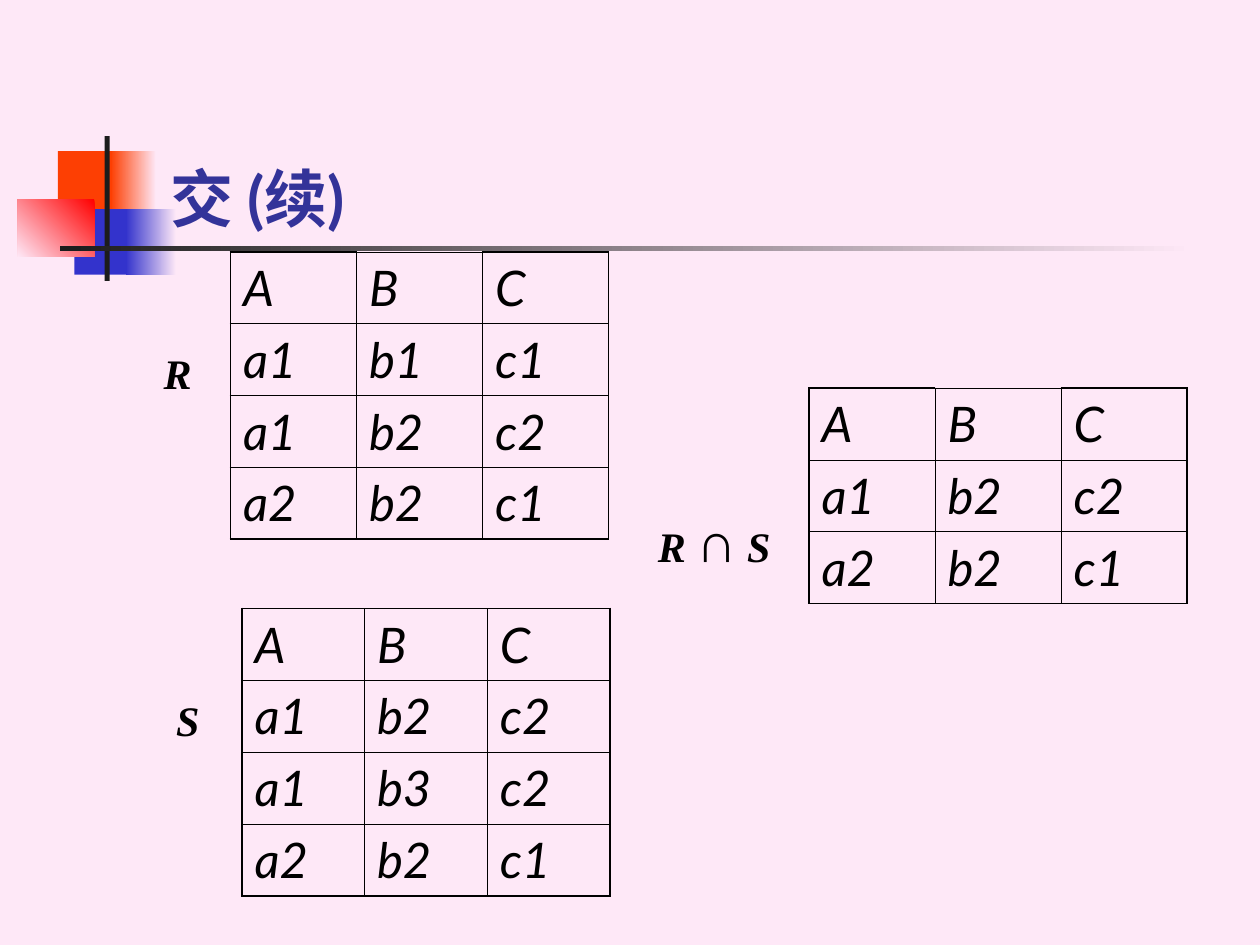
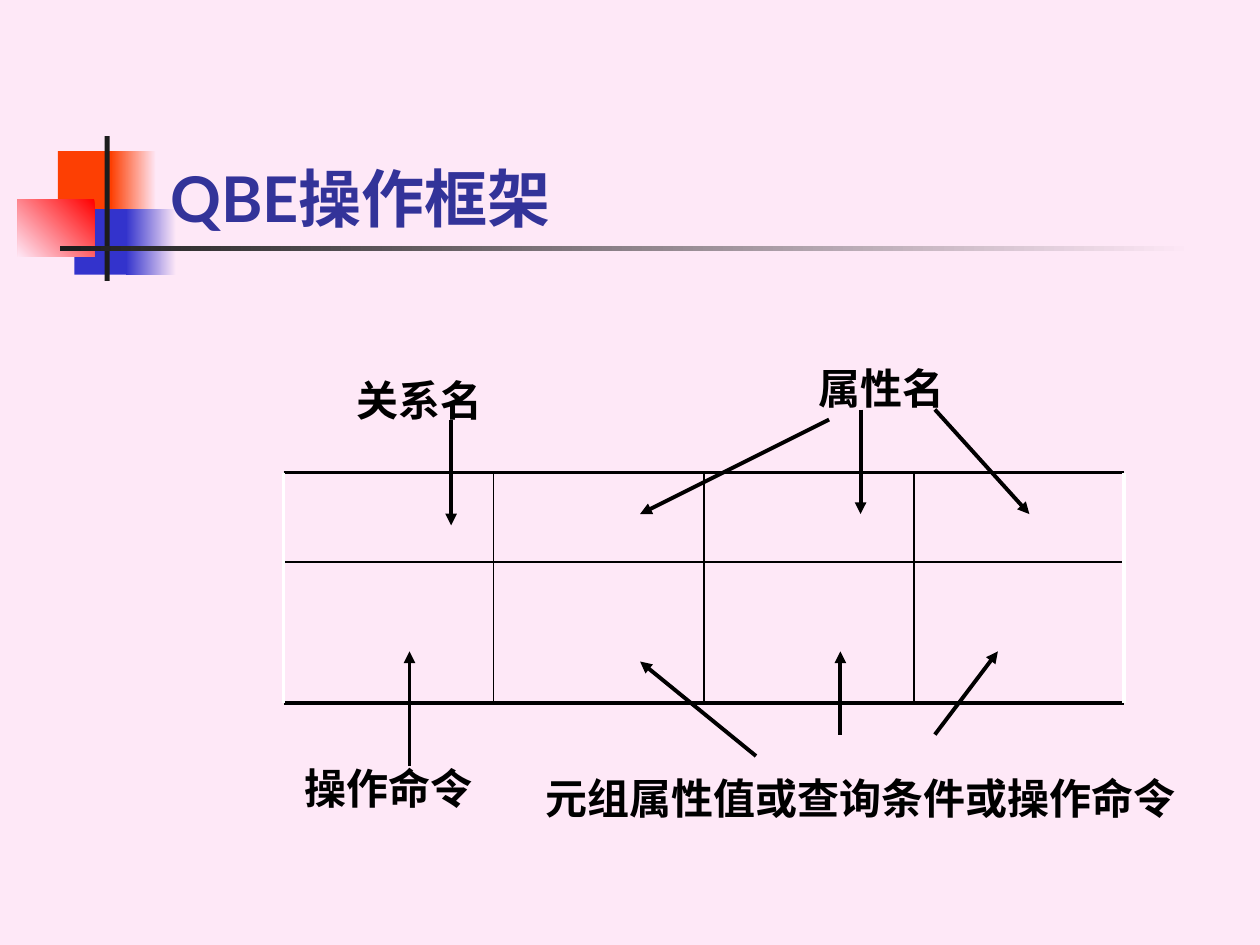
from lxml import etree
from pptx import Presentation
from pptx import util as u
from pptx.dml.color import RGBColor
from pptx.enum import shapes, text
from pptx.oxml import ns

PINK, BLACK, WHITE = "FEE8F7", "000000", "FFFFFF"
ORANGE, BLUE, RED, CHARCOAL, NAVY = "FD3F03", "3333CC", "FF0000", "1C1C1C", "333399"
HEADING_FONT, LABEL_FONT = "Lato", "Times New Roman"
THICK, THIN = 1.08, 0.45
ROW_HEIGHT = 0.57
LABEL_HEIGHT = 0.67

# Corner ornament and title rule: left, top, width, height, colours, angle
ORNAMENT = [
    (0.46, 1.2, 0.48, 0.52, [ORANGE], 0),
    (0.88, 1.2, 0.36, 0.52, [PINK, ORANGE], 180),
    (0.59, 1.66, 0.46, 0.52, [BLUE], 0),
    (1, 1.66, 0.4, 0.52, [PINK, BLUE], 180),
    (0.14, 1.58, 0.61, 0.46, [RED, PINK], 225),
    (0.83, 1.08, 0.04, 1.15, [CHARCOAL], 0),
    (0.48, 1.95, 9, 0.04, [PINK, CHARCOAL], 180),
]


def colour(hex_code):
    return RGBColor.from_string(hex_code)


def inches(*lengths):
    return [u.Inches(length) for length in lengths]


def write(paragraph, words, *, size=24, font=LABEL_FONT, fill=BLACK, bold=False, italic=False):
    run = paragraph.add_run()
    run.text = words
    run.font.size, run.font.name = u.Pt(size), font
    run.font.bold, run.font.italic = bold, italic
    run.font.color.rgb = colour(fill)


def add_block(slide, left, top, width, height, colours, angle):
    block = slide.shapes.add_shape(shapes.MSO_SHAPE.RECTANGLE, *inches(left, top, width, height))
    block.shadow.inherit = False
    block.line.fill.background()
    if len(colours) == 1:
        block.fill.solid()
        block.fill.fore_color.rgb = colour(colours[0])
        return
    block.fill.gradient()
    block.fill.gradient_angle = angle
    for stop, shade in zip(block.fill.gradient_stops, colours):
        stop.color.rgb = colour(shade)


def add_titled_slide(prs, heading):
    slide = prs.slides.add_slide(prs.slide_layouts[5])
    slide.background.fill.solid()
    slide.background.fill.fore_color.rgb = colour(PINK)
    for block in ORNAMENT:
        add_block(slide, *block)
    # The title lies over the ornament
    title = slide.shapes.title
    slide.shapes._spTree.append(title._element)
    title.left, title.top, title.width, title.height = inches(1.25, 0.67, 8.52, 1.25)
    frame = title.text_frame
    frame.vertical_anchor = text.MSO_ANCHOR.BOTTOM
    frame.auto_size = text.MSO_AUTO_SIZE.NONE
    frame.paragraphs[0].alignment = text.PP_ALIGN.LEFT
    write(frame.paragraphs[0], heading, size=36, font=HEADING_FONT, fill=NAVY, bold=True)
    return slide


def add_label(slide, centre, middle, width, *runs):
    """Centre one line of text on a point."""
    left, top = centre - width / 2, middle - LABEL_HEIGHT / 2
    frame = slide.shapes.add_textbox(*inches(left, top, width, LABEL_HEIGHT)).text_frame
    frame.word_wrap = False
    frame.vertical_anchor = text.MSO_ANCHOR.MIDDLE
    frame.paragraphs[0].alignment = text.PP_ALIGN.CENTER
    for words, style in runs:
        write(frame.paragraphs[0], words, bold=True, **style)


def set_borders(cell, **widths):
    properties = cell._tc.get_or_add_tcPr()
    for position, side in enumerate(("lnL", "lnR", "lnT", "lnB")):
        border = etree.Element(ns.qn(f"a:{side}"), w=str(u.Pt(widths[side])))
        solid = etree.SubElement(border, ns.qn("a:solidFill"))
        etree.SubElement(solid, ns.qn("a:srgbClr"), val=BLACK)
        properties.insert(position, border)


def add_relation(slide, left, top, width, tuples):
    rows = ["A B C".split()] + [values.split() for values in tuples]
    last_row, last_column = len(rows) - 1, len(rows[0]) - 1
    table = slide.shapes.add_table(
        len(rows), len(rows[0]), *inches(left, top, width, ROW_HEIGHT * len(rows))).table
    table.first_row = table.horz_banding = False
    for r, values in enumerate(rows):
        for c, value in enumerate(values):
            cell = table.cell(r, c)
            cell.fill.background()
            write(cell.text_frame.paragraphs[0], value, size=28, font=HEADING_FONT, italic=True)
            # Heavy outline, except above the middle heading
            set_borders(
                cell,
                lnL=THICK if c == 0 else THIN,
                lnR=THICK if c == last_column else THIN,
                lnT=THICK if r == 0 and c in (0, last_column) else THIN,
                lnB=THICK if r == last_row else THIN)


def add_line(parent, start, end, *, stroke=BLACK, width=2.25, arrow=False):
    line = parent.shapes.add_connector(
        shapes.MSO_CONNECTOR.STRAIGHT, *inches(*start, *end))
    line.line.color.rgb = colour(stroke)
    line.line.width = u.Pt(width)
    if arrow:
        etree.SubElement(line.line._get_or_add_ln(), ns.qn("a:tailEnd"), type="triangle")
    etree.SubElement(line._element.spPr, ns.qn("a:effectLst"))


def add_query_frame(slide):
    left, right, top, bottom = 2.25, 8.92, 3.75, 5.58
    columns = 4
    frame = slide.shapes.add_group_shape()
    for y, width in ((top, 2.25), (4.46, 1), (bottom, 2.25)):
        add_line(frame, (left, y), (right, y), width=width)
    for i in range(columns + 1):
        x = left + i * (right - left) / columns
        style = dict(stroke=WHITE) if i in (0, columns) else dict(width=1)
        add_line(frame, (x, top), (x, bottom), **style)


def build_intersection(prs):
    slide = add_titled_slide(prs, "交 (续)")
    add_relation(slide, 1.83, 2, 3, ["a1 b1 c1", "a1 b2 c2", "a2 b2 c1"])
    add_relation(slide, 6.42, 3.08, 3, ["a1 b2 c2", "a2 b2 c1"])
    add_relation(slide, 1.92, 4.83, 2.92, ["a1 b2 c2", "a1 b3 c2", "a2 b2 c1"])
    # Relation names
    slanted = dict(italic=True)
    add_label(slide, 1.41, 2.96, 0.6, ("R", slanted))
    add_label(slide, 1.49, 5.71, 0.6, ("S", slanted))
    add_label(slide, 5.71, 4.29, 1.5,
              ("R ", slanted), ("∩", dict(size=32)), (" S ", slanted))


def build_qbe(prs):
    slide = add_titled_slide(prs, "QBE操作框架")
    add_query_frame(slide)
    for centre, middle, width, words in (
            (3.33, 3.17, 1.4, "关系名"),
            (7, 3.08, 1.4, "属性名"),
            (3.08, 6.25, 1.8, "操作命令"),
            (6.83, 6.33, 5.4, "元组属性值或查询条件或操作命令")):
        add_label(slide, centre, middle, width, (words, {}))
    # Arrows from each label to its cells
    for start, end in (
            ((3.58, 3.33), (3.58, 4.17)),
            ((3.25, 6.08), (3.25, 5.17)),
            ((6.67, 5.83), (6.67, 5.17)),
            ((7.42, 5.83), (7.92, 5.17)),
            ((6, 6), (5.08, 5.25)),
            ((6.83, 3.25), (6.83, 4.08)),
            ((6.58, 3.33), (5.08, 4.08)),
            ((7.42, 3.25), (8.17, 4.08))):
        add_line(slide, start, end, arrow=True)


def main():
    prs = Presentation()
    prs.slide_width, prs.slide_height = inches(10, 7.5)
    build_intersection(prs)
    build_qbe(prs)
    prs.save("out.pptx")


if __name__ == "__main__":
    main()
